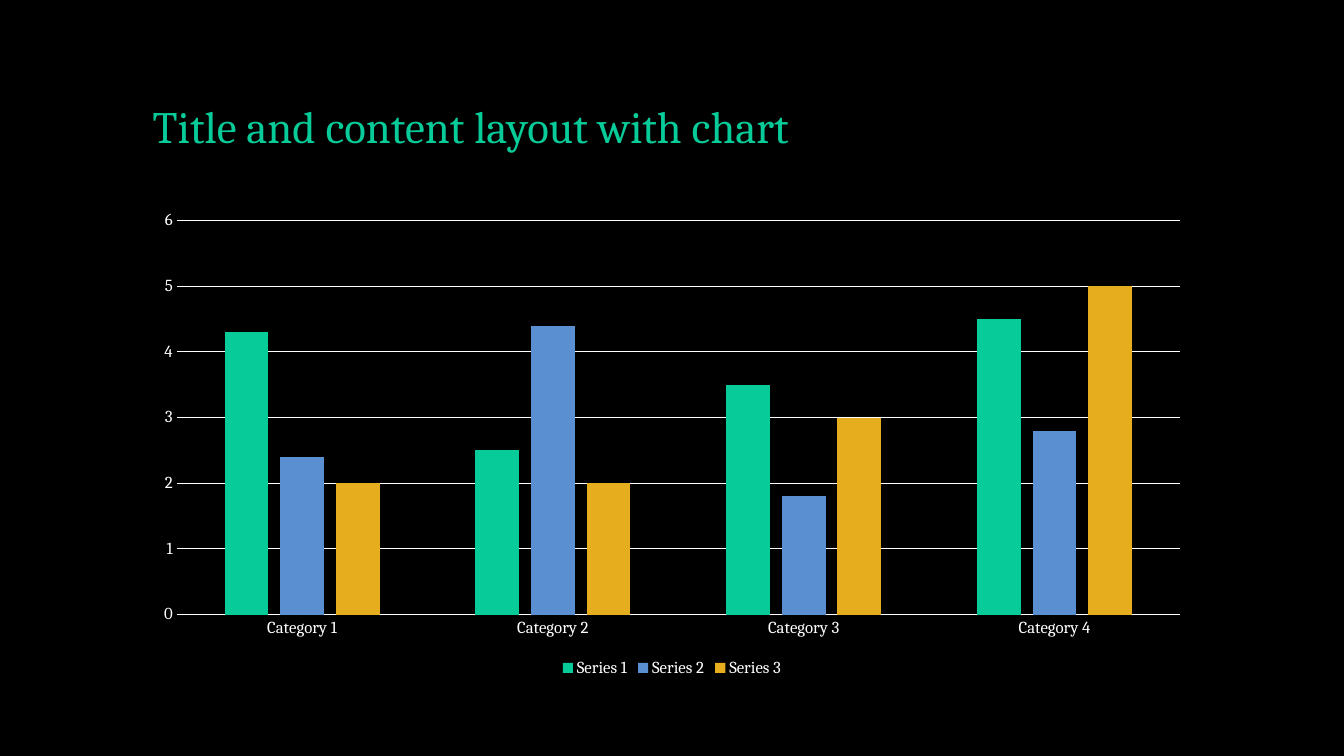
"""Build a dark slide with a title and a clustered column chart."""
from dataclasses import dataclass

from pptx import Presentation
from pptx.chart.data import CategoryChartData
from pptx.dml.color import RGBColor
from pptx.enum.chart import XL_CHART_TYPE as ChartType
from pptx.enum.chart import XL_LEGEND_POSITION as LegendPosition
from pptx.enum.chart import XL_TICK_MARK as TickMark
from pptx.enum.text import MSO_ANCHOR as Anchor
from pptx.util import Cm, Pt


@dataclass(frozen=True)
class Theme:
    font: str = "Cambria"
    background: RGBColor = RGBColor.from_string("000000")
    text: RGBColor = RGBColor.from_string("FFFFFF")
    green: RGBColor = RGBColor.from_string("07CB98")
    blue: RGBColor = RGBColor.from_string("5A90D1")
    gold: RGBColor = RGBColor.from_string("E6AD1E")
    title_size: Pt = Pt(32)
    label_size: Pt = Pt(12)
    line_width: Pt = Pt(0.75)


theme = Theme()


def style_font(font, size, color):
    font.name = theme.font
    font.size = size
    font.color.rgb = color


def style_line(line):
    line.color.rgb = theme.text
    line.width = theme.line_width


deck = Presentation()
deck.slide_width, deck.slide_height = Cm(33.87), Cm(19.05)
page = deck.slides.add_slide(deck.slide_layouts[6])
page.background.fill.solid()
page.background.fill.fore_color.rgb = theme.background

left, width = Cm(3.6), Cm(26.67)

title_box = page.shapes.add_textbox(left, Cm(1.02), width, Cm(2.97))
title_frame = title_box.text_frame
title_frame.word_wrap = True
title_frame.vertical_anchor = Anchor.BOTTOM
title_para = title_frame.paragraphs[0]
title_para.text = "Title and content layout with chart"
title_para.line_spacing = 0.9
style_font(title_para.font, theme.title_size, theme.green)

series_rows = [
    ("Series 1", (4.3, 2.5, 3.5, 4.5), theme.green),
    ("Series 2", (2.4, 4.4, 1.8, 2.8), theme.blue),
    ("Series 3", (2, 2, 3, 5), theme.gold),
]
chart_data = CategoryChartData()
chart_data.categories = [f"Category {number}" for number in range(1, 5)]
for name, values, color in series_rows:
    chart_data.add_series(name, values)

chart = page.shapes.add_chart(
    ChartType.COLUMN_CLUSTERED, left, Cm(5.08), width, Cm(12.09), chart_data
).chart
chart.has_title = False
style_font(chart.font, theme.label_size, theme.text)

plot = chart.plots[0]
plot.vary_by_categories = False
plot.gap_width = 219
plot.overlap = -27
for series, (name, values, color) in zip(plot.series, series_rows):
    series.format.fill.solid()
    series.format.fill.fore_color.rgb = color

category_axis, value_axis = chart.category_axis, chart.value_axis
for axis in (category_axis, value_axis):
    axis.major_tick_mark = TickMark.NONE
    axis.minor_tick_mark = TickMark.NONE
    style_font(axis.tick_labels.font, theme.label_size, theme.text)
style_line(category_axis.format.line)
value_axis.format.line.fill.background()
value_axis.minimum_scale, value_axis.maximum_scale = 0, 6
value_axis.major_unit = 1
value_axis.has_major_gridlines = True
style_line(value_axis.major_gridlines.format.line)

chart.has_legend = True
chart.legend.position = LegendPosition.BOTTOM
chart.legend.include_in_layout = False
style_font(chart.legend.font, theme.label_size, theme.text)

deck.save("out.pptx")
